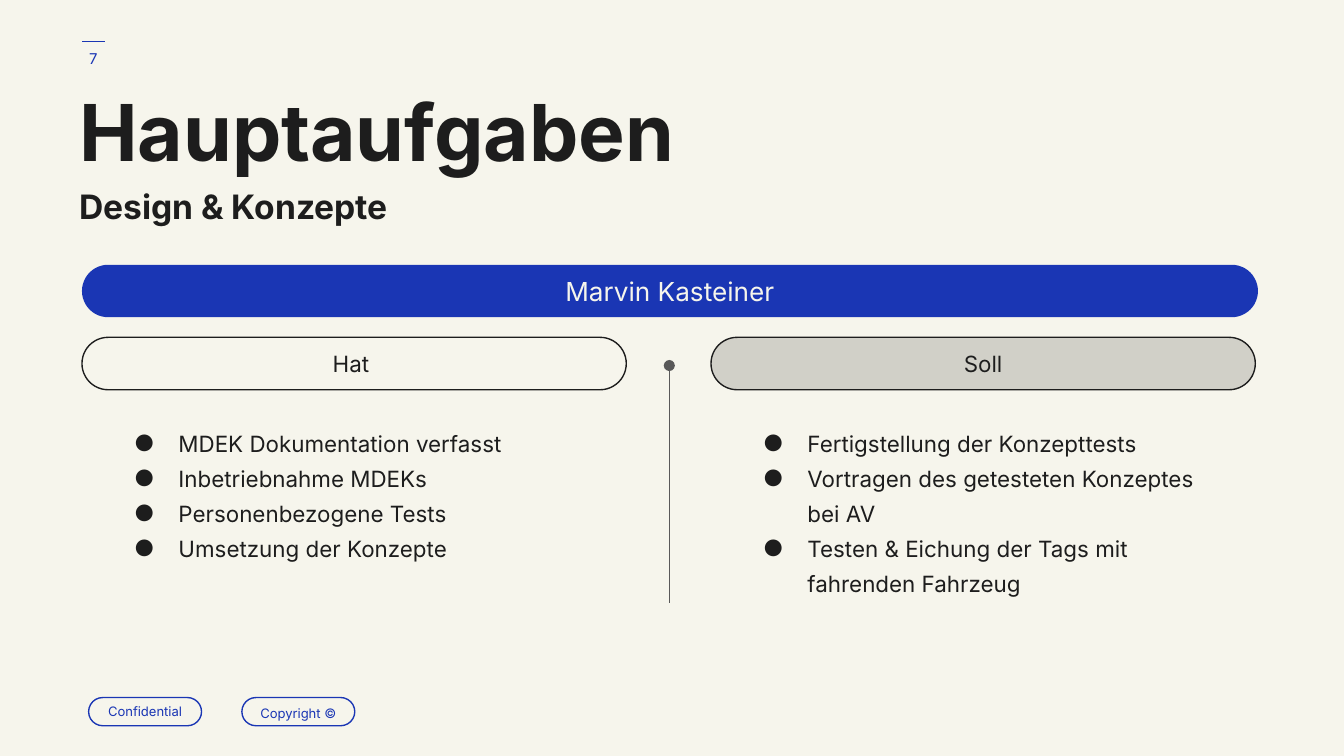
from lxml.etree import SubElement
from pptx import Presentation
from pptx.dml.color import RGBColor
from pptx.enum.shapes import MSO_CONNECTOR, MSO_SHAPE
from pptx.enum.text import MSO_ANCHOR, MSO_AUTO_SIZE, PP_ALIGN
from pptx.oxml.ns import qn
from pptx.util import Inches, Pt

CREAM = RGBColor(0xF6, 0xF5, 0xEC)
BLUE = RGBColor(0x1A, 0x36, 0xB4)
INK = RGBColor(0x1D, 0x1D, 0x1D)
STONE = RGBColor(0xD1, 0xD0, 0xC8)
GRAY = RGBColor(0x59, 0x59, 0x59)

PAGE_NUMBER = "7"
TITLE = "Hauptaufgaben"
SUBTITLE = "Design & Konzepte"
PERSON = "Marvin Kasteiner"
COLUMNS = [
    ("Hat ", None, [
        "MDEK Dokumentation verfasst",
        "Inbetriebnahme MDEKs",
        "Personenbezogene Tests",
        "Umsetzung der Konzepte",
    ]),
    ("Soll", STONE, [
        "Fertigstellung der Konzepttests",
        "Vortragen des getesteten Konzeptes bei AV",
        "Testen & Eichung der Tags mit fahrenden Fahrzeug",
    ]),
]
FOOTER_TAGS = [("Confidential", 1.0), ("Copyright ©", 1.15)]

FONT = "Inter"
LEFT = 0.61
COLUMN_STEP = 4.68
FOOTER_STEP = 1.14
HEADING_LEFT = 0.49
FRAME = {
    "word_wrap": True,
    "auto_size": MSO_AUTO_SIZE.NONE,
    "margin_left": Inches(0.1),
    "margin_right": Inches(0.1),
    "margin_top": Inches(0.1),
    "margin_bottom": Inches(0.1),
}


def set_all(target, values):
    for key, value in values.items():
        setattr(target, key, value)


def add_bullet(paragraph, color):
    properties = paragraph._p.get_or_add_pPr()
    properties.set("marL", str(Inches(0.5)))
    properties.set("indent", str(Inches(-0.33)))
    bullet_color = SubElement(properties, qn("a:buClr"))
    SubElement(bullet_color, qn("a:srgbClr"), val=str(color))
    SubElement(properties, qn("a:buFont"), typeface=FONT)
    SubElement(properties, qn("a:buChar"), char="●")


def write(shape, lines, size, color, bold=False, bullets=False,
          anchor=MSO_ANCHOR.TOP, align=PP_ALIGN.LEFT, spacing=1.0):
    frame = shape.text_frame
    set_all(frame, {**FRAME, "vertical_anchor": anchor})
    frame.text = "\n".join(lines)
    for paragraph in frame.paragraphs:
        set_all(paragraph, {"alignment": align, "line_spacing": spacing,
                            "space_before": Pt(0), "space_after": Pt(0)})
        if bullets:
            add_bullet(paragraph, color)
        for run in paragraph.runs:
            set_all(run.font, {"name": FONT, "size": Pt(size), "bold": bold})
            run.font.color.rgb = color


def add_text(slide, box, lines, size, color, **style):
    write(slide.shapes.add_textbox(*map(Inches, box)), lines, size, color, **style)


def add_pill(slide, box, label, size, color, fill=None, outline=None, spacing=1.0):
    pill = slide.shapes.add_shape(MSO_SHAPE.ROUNDED_RECTANGLE, *map(Inches, box))
    pill.adjustments[0] = 0.5
    pill.shadow.inherit = False
    if fill is None:
        pill.fill.background()
    else:
        pill.fill.solid()
        pill.fill.fore_color.rgb = fill
    if outline is None:
        pill.line.fill.background()
    else:
        pill.line.color.rgb = outline
        pill.line.width = Pt(0.75)
    write(pill, [label], size, color, anchor=MSO_ANCHOR.MIDDLE,
          align=PP_ALIGN.CENTER, spacing=spacing)


def add_rule(slide, ends, color, head=None):
    rule = slide.shapes.add_connector(MSO_CONNECTOR.STRAIGHT, *map(Inches, ends))
    rule.line.color.rgb = color
    rule.line.width = Pt(0.75)
    if head:
        SubElement(rule.line._get_or_add_ln(), qn("a:headEnd"), type=head)
    SubElement(rule._element.spPr, qn("a:effectLst"))


def main():
    deck = Presentation()
    deck.slide_width = Inches(10)
    deck.slide_height = deck.slide_width * 9 // 16
    slide = deck.slides.add_slide(deck.slide_layouts[5])
    slide.background.fill.solid()
    slide.background.fill.fore_color.rgb = CREAM

    add_rule(slide, (0.78, 0.31, LEFT, 0.31), BLUE)
    add_text(slide, (0.46, 0.22, 0.47, 0.43), [PAGE_NUMBER], 8, BLUE,
             anchor=MSO_ANCHOR.MIDDLE, align=PP_ALIGN.CENTER)

    title = slide.shapes.title
    set_all(title, {"left": Inches(HEADING_LEFT), "top": Inches(0.65),
                    "width": Inches(5.33), "height": Inches(0.78)})
    write(title, [TITLE], 42, INK, bold=True, spacing=0.8)
    add_text(slide, (HEADING_LEFT, 1.34, 5.41, 0.39), [SUBTITLE], 18, INK,
             bold=True, spacing=0.8)

    add_pill(slide, (LEFT, 1.97, 8.75, 0.39), PERSON, 14, CREAM, fill=BLUE)
    for index, (heading, fill, tasks) in enumerate(COLUMNS):
        left = LEFT + index * COLUMN_STEP
        add_pill(slide, (left, 2.51, 4.05, 0.39), heading, 12, INK,
                 fill=fill, outline=INK)
        add_text(slide, (left + 0.12, 3.04, 3.8, 1.52), tasks, 12, INK,
                 bullets=True, spacing=1.3)
    add_rule(slide, (4.98, 2.72, 4.98, 4.49), GRAY, head="oval")

    for index, (tag, spacing) in enumerate(FOOTER_TAGS):
        add_pill(slide, (0.66 + index * FOOTER_STEP, 5.19, 0.84, 0.21), tag, 7,
                 BLUE, outline=BLUE, spacing=spacing)

    deck.save("out.pptx")


if __name__ == "__main__":
    main()
